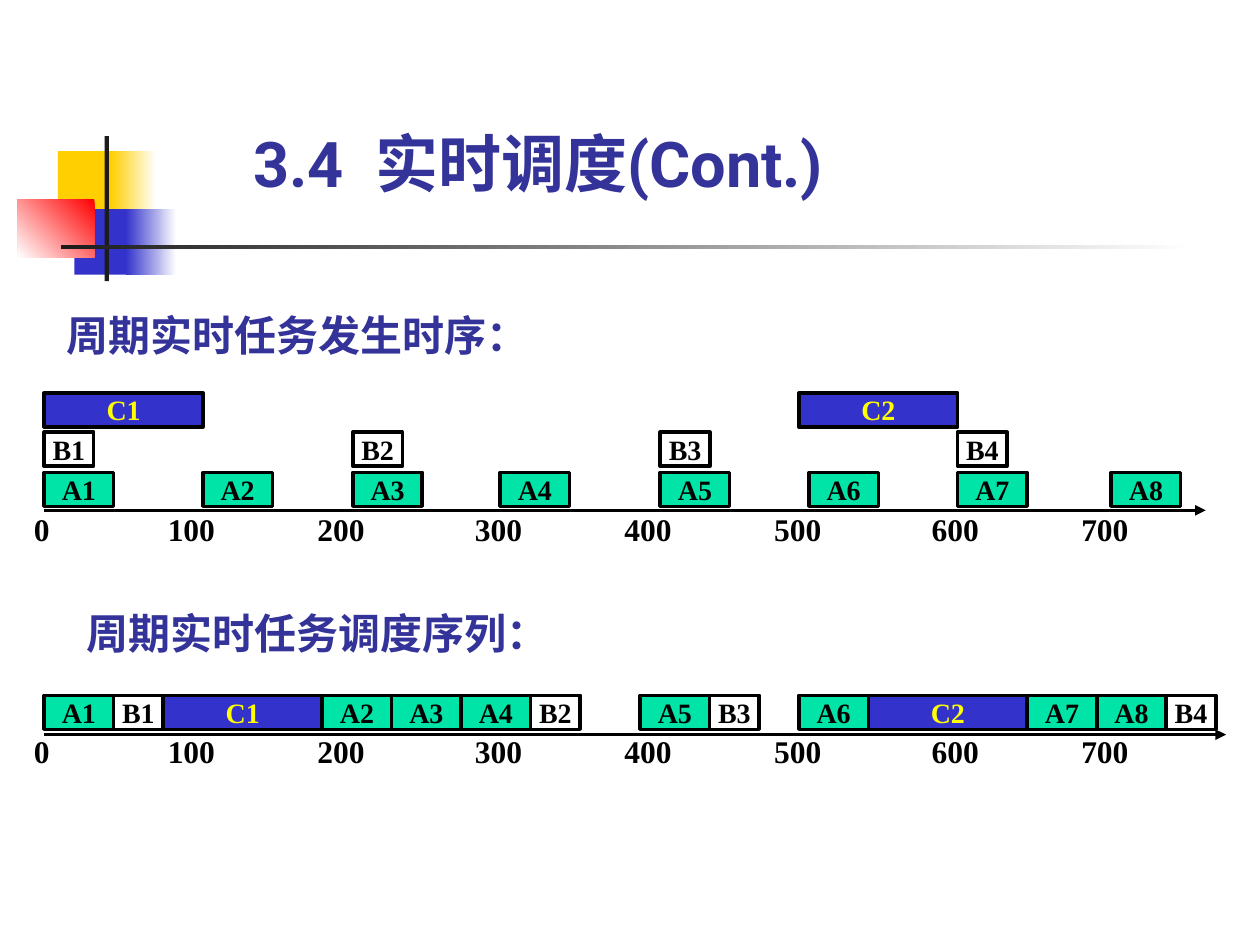
from lxml import etree
from pptx import Presentation
from pptx import util as u
from pptx.dml.color import RGBColor
from pptx.enum import shapes, text
from pptx.oxml.ns import qn

COLORS = {
    "white": "FFFFFF", "black": "000000", "ink": "1C1C1C", "heading": "333399",
    "gold": "FFCF01", "blue": "3333CC", "red": "FF0000",
    "green": "00E4A8", "yellow": "FFFF00",
}
SERIF = "Times New Roman"
# Task family: (width, fill, text colour)
TASKS = {
    "A": (39.7, "green", "black"),
    "B": (28.4, None, "black"),
    "C": (90.8, "blue", "yellow"),
}
TASK_HEIGHT = 19.4
AXIS_LEFT = 25.2
TICKS = ["0", "100", "200", "300", "400", "500", "600", "700"]
TICK_STOPS = [76.5, 162, 252, 337.5, 423, 513, 598.5]

# Family: (top, start of each task)
RELEASES = {
    "A": (270, [25.2, 115.9, 201.6, 285.8, 377.3, 462.2, 547.2, 635]),
    "B": (247, [25.2, 201.6, 377.3, 547.2]),
    "C": (224.6, [25.2, 456.5]),
}
# Start of each busy stretch and the tasks run back to back in it
SCHEDULE = [
    (25.2, ["A1", "B1", "C1", "A2", "A3", "A4", "B2"]),
    (365.8, ["A5", "B3"]),
    (456.5, ["A6", "C2", "A7", "A8", "B4"]),
]


def rgb(name):
    return RGBColor.from_string(COLORS[name])


def points(*values):
    return [u.Pt(value) for value in values]


class SlideBuilder:
    def __init__(self, slide):
        self.slide = slide
        self.canvas = slide.shapes

    def start_group(self):
        """Send the elements that follow into a new group."""
        self.canvas = self.slide.shapes.add_group_shape().shapes

    def set_text(self, shape, words, color, size, font=SERIF, inset=(0, 0),
                 align=text.PP_ALIGN.LEFT, anchor=text.MSO_ANCHOR.TOP, stops=()):
        frame = shape.text_frame
        across, down = points(*inset)
        frame_format = {
            "word_wrap": True, "vertical_anchor": anchor,
            "margin_left": across, "margin_right": across,
            "margin_top": down, "margin_bottom": down,
        }
        for key, value in frame_format.items():
            setattr(frame, key, value)
        paragraph = frame.paragraphs[0]
        paragraph.alignment = align
        if stops:
            tabs = etree.SubElement(paragraph._p.get_or_add_pPr(), qn("a:tabLst"))
            for stop in stops:
                etree.SubElement(tabs, qn("a:tab"), pos=str(u.Pt(stop)), algn="l")
        run = paragraph.add_run()
        run.text = words
        font_format = {"name": font, "size": u.Pt(size), "bold": True}
        for key, value in font_format.items():
            setattr(run.font, key, value)
        run.font.color.rgb = rgb(color)

    def label(self, box, words, color, size, **style):
        self.set_text(self.canvas.add_textbox(*points(*box)), words, color, size, **style)

    def block(self, box, fill, fade_angle=None):
        """Add a borderless rectangle; with an angle its fill fades to white."""
        block = self.canvas.add_shape(shapes.MSO_SHAPE.RECTANGLE, *points(*box))
        block.shadow.inherit = False
        block.line.fill.background()
        if fill is None:
            block.fill.background()
        elif fade_angle is None:
            block.fill.solid()
            block.fill.fore_color.rgb = rgb(fill)
        else:
            block.fill.gradient()
            block.fill.gradient_angle = fade_angle
            for stop, color in zip(block.fill.gradient_stops, (fill, "white")):
                stop.color.rgb = rgb(color)
        return block

    def task(self, name, left, top):
        width, fill, color = TASKS[name[0]]
        task = self.block((left, top, width, TASK_HEIGHT), fill)
        task.line.color.rgb = rgb("black")
        task.line.width = u.Pt(2)
        self.set_text(task, name, color, 16, align=text.PP_ALIGN.CENTER)

    def time_axis(self, y, right, tick_top):
        axis = self.canvas.add_connector(
            shapes.MSO_CONNECTOR.STRAIGHT, *points(AXIS_LEFT, y, right, y))
        axis.line.color.rgb = rgb("black")
        axis.line.width = u.Pt(2)
        etree.SubElement(axis.line._get_or_add_ln(), qn("a:tailEnd"), type="triangle")
        etree.SubElement(axis._element.spPr, qn("a:effectLst"))
        self.label((19.4, tick_top, 674.6, 21.6), "\t".join(TICKS), "black", 18,
                   stops=TICK_STOPS)

    def heading(self, left, top, words):
        self.label((left, top, 289.4, 36), words, "heading", 24, inset=(7.2, 3.6))


def draw_title(builder):
    ornament = [
        ((33.1, 86.4, 34.6, 37.4), "gold", None),
        ((63.4, 86.4, 25.9, 37.4), "gold", 0),
        ((42.5, 119.5, 33.1, 37.4), "blue", None),
        ((72, 119.5, 28.8, 37.4), "blue", 0),
        ((10.1, 113.8, 43.9, 33.1), "red", 225),
        ((59.8, 77.8, 2.5, 82.8), "ink", None),
        ((34.6, 140.1, 648, 2.5), "ink", 0),
    ]
    for box, fill, fade_angle in ornament:
        builder.block(box, fill, fade_angle)
    builder.label((144.7, 71.3, 374.4, 43.2), "3.4  实时调度(Cont.)", "heading", 36,
                  font="Roboto", anchor=text.MSO_ANCHOR.BOTTOM)


def draw_releases(builder):
    builder.start_group()
    builder.time_axis(291.6, 689, 291.6)
    for family, (top, starts) in RELEASES.items():
        for number, left in enumerate(starts, 1):
            builder.task(f"{family}{number}", left, top)
    builder.heading(31, 173.5, "周期实时任务发生时序：")


def draw_schedule(builder):
    builder.start_group()
    builder.time_axis(419.8, 700.6, 418.3)
    for left, names in SCHEDULE:
        for name in names:
            builder.task(name, left, 397.4)
            left += TASKS[name[0]][0]
    builder.heading(42.5, 343.4, "周期实时任务调度序列：")


def main():
    deck = Presentation()
    deck.slide_width, deck.slide_height = points(720, 540)
    builder = SlideBuilder(deck.slides.add_slide(deck.slide_layouts[6]))
    draw_title(builder)
    draw_releases(builder)
    draw_schedule(builder)
    deck.save("out.pptx")


if __name__ == "__main__":
    main()
